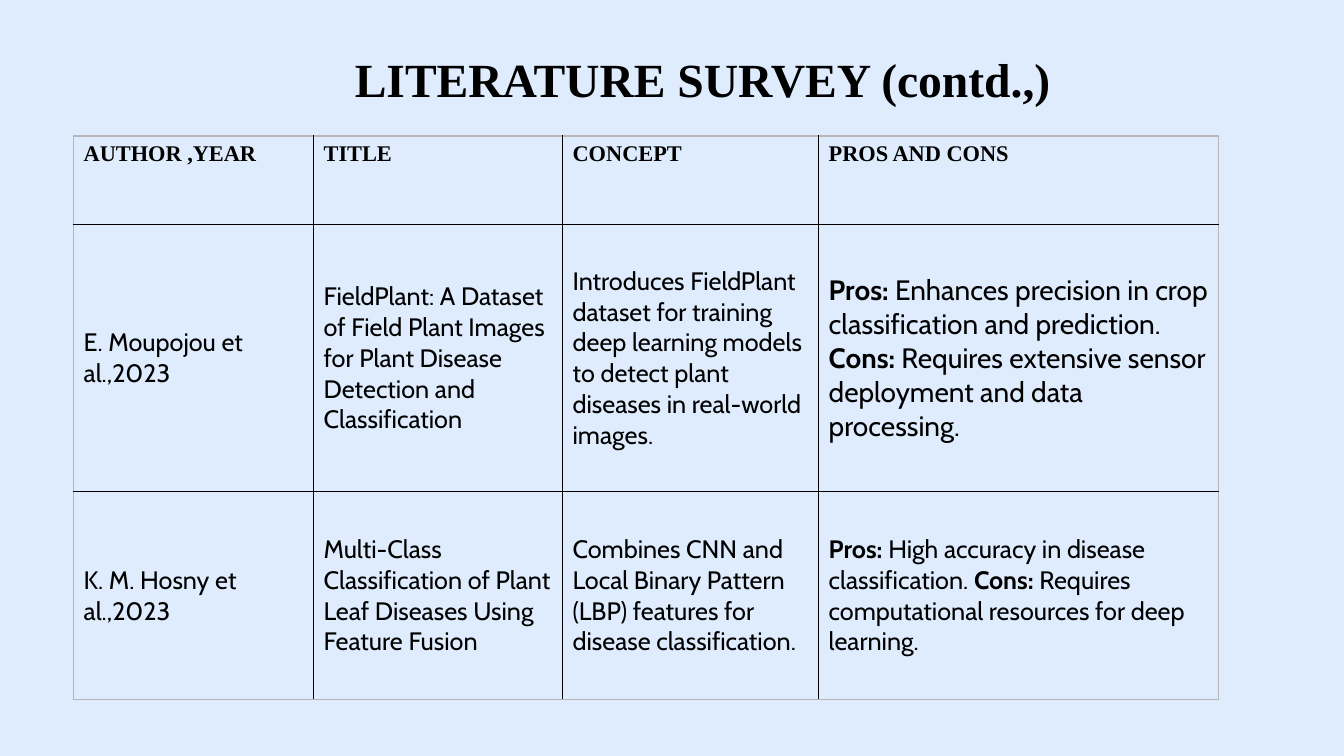
from dataclasses import dataclass

from lxml import etree
from pptx import Presentation
from pptx.dml.color import RGBColor
from pptx.enum.text import MSO_ANCHOR, PP_ALIGN
from pptx.oxml.ns import qn
from pptx.slide import Slide
from pptx.table import _Cell
from pptx.text.text import _Paragraph
from pptx.util import Inches, Pt

CENTER, JUSTIFY, LEFT = PP_ALIGN.CENTER, PP_ALIGN.JUSTIFY, PP_ALIGN.LEFT
TOP, MIDDLE = MSO_ANCHOR.TOP, MSO_ANCHOR.MIDDLE

BACKGROUND = RGBColor(0xDF, 0xEC, 0xFD)
BLACK = RGBColor(0, 0, 0)
GRAY = RGBColor(0xB7, 0xB7, 0xB7)
HEADING_FONT = "Times New Roman"
BODY_FONT = "Cabin"

COLUMN_WIDTHS = (2.38, 2.47, 2.54, 3.97)
ROW_HEIGHTS = (0.88, 2.65, 2.06)


@dataclass(frozen=True)
class Segment:
    text: str
    bold: bool = False


@dataclass(frozen=True)
class Entry:
    segments: tuple[Segment, ...]
    size: int = 18
    font: str = BODY_FONT
    alignment: PP_ALIGN = LEFT
    anchor: MSO_ANCHOR = MIDDLE


def heading(text: str) -> Entry:
    return Entry((Segment(text, True),), 16, HEADING_FONT, JUSTIFY, TOP)


def plain(text: str) -> Entry:
    return Entry((Segment(text),))


def pros_and_cons(pros: str, cons: str, size: int = 18) -> Entry:
    return Entry(
        (
            Segment("Pros:", True),
            Segment(f" {pros} "),
            Segment("Cons:", True),
            Segment(f" {cons}"),
        ),
        size,
    )


SURVEY = (
    tuple(heading(text) for text in ("AUTHOR ,YEAR", "TITLE", "CONCEPT", "PROS AND CONS")),
    (
        plain("E. Moupojou et al.,2023"),
        plain("FieldPlant: A Dataset of Field Plant Images for Plant Disease "
              "Detection and Classification"),
        plain("Introduces FieldPlant dataset for training deep learning models "
              "to detect plant diseases in real-world images."),
        pros_and_cons(
            "Enhances precision in crop classification and prediction.",
            "Requires extensive sensor deployment and data processing.",
            20,
        ),
    ),
    (
        plain("K. M. Hosny et al.,2023"),
        plain("Multi-Class Classification of Plant Leaf Diseases Using Feature Fusion"),
        plain("Combines CNN and Local Binary Pattern (LBP) features for "
              "disease classification."),
        pros_and_cons(
            "High accuracy in disease classification.",
            "Requires computational resources for deep learning.",
        ),
    ),
)


def write_entry(paragraph: _Paragraph, entry: Entry) -> None:
    paragraph.alignment = entry.alignment
    for segment in entry.segments:
        run = paragraph.add_run()
        run.text = segment.text
        run.font.name = entry.font
        run.font.size = Pt(entry.size)
        run.font.bold = segment.bold
        run.font.color.rgb = BLACK


def set_borders(cell: _Cell, colors: dict[str, RGBColor]) -> None:
    properties = cell._tc.get_or_add_tcPr()
    for index, (side, color) in enumerate(colors.items()):
        line = etree.Element(qn(f"a:{side}"), w=str(Pt(1)))
        fill = etree.SubElement(line, qn("a:solidFill"))
        etree.SubElement(fill, qn("a:srgbClr"), val=str(color))
        properties.insert(index, line)


def add_title(slide: Slide) -> None:
    title = slide.shapes.add_textbox(Inches(2.26), Inches(0.45), Inches(9.42), Inches(0.67))
    title.text_frame.word_wrap = True
    entry = Entry((Segment("LITERATURE SURVEY (contd.,)", True),), 34, HEADING_FONT, CENTER)
    write_entry(title.text_frame.paragraphs[0], entry)


def add_survey_table(slide: Slide) -> None:
    last_row, last_column = len(ROW_HEIGHTS) - 1, len(COLUMN_WIDTHS) - 1
    table = slide.shapes.add_table(
        len(ROW_HEIGHTS), len(COLUMN_WIDTHS), Inches(0.73), Inches(1.35),
        Inches(sum(COLUMN_WIDTHS)), Inches(sum(ROW_HEIGHTS)),
    ).table
    table.first_row = False
    table.horz_banding = False
    for column, width in zip(table.columns, COLUMN_WIDTHS):
        column.width = Inches(width)
    for row, height in zip(table.rows, ROW_HEIGHTS):
        row.height = Inches(height)
    for row_index, entries in enumerate(SURVEY):
        for column_index, entry in enumerate(entries):
            cell = table.cell(row_index, column_index)
            cell.fill.background()
            cell.vertical_anchor = entry.anchor
            write_entry(cell.text_frame.paragraphs[0], entry)
            outer_edges = {
                "lnL": column_index == 0,
                "lnR": column_index == last_column,
                "lnT": row_index == 0,
                "lnB": row_index == last_row,
            }
            set_borders(cell, {side: GRAY if outer else BLACK
                               for side, outer in outer_edges.items()})


def main() -> None:
    presentation = Presentation()
    presentation.slide_width = Inches(13.33)
    presentation.slide_height = Inches(7.5)
    slide = presentation.slides.add_slide(presentation.slide_layouts[6])
    slide.background.fill.solid()
    slide.background.fill.fore_color.rgb = BACKGROUND
    add_title(slide)
    add_survey_table(slide)
    presentation.save("out.pptx")


if __name__ == "__main__":
    main()
